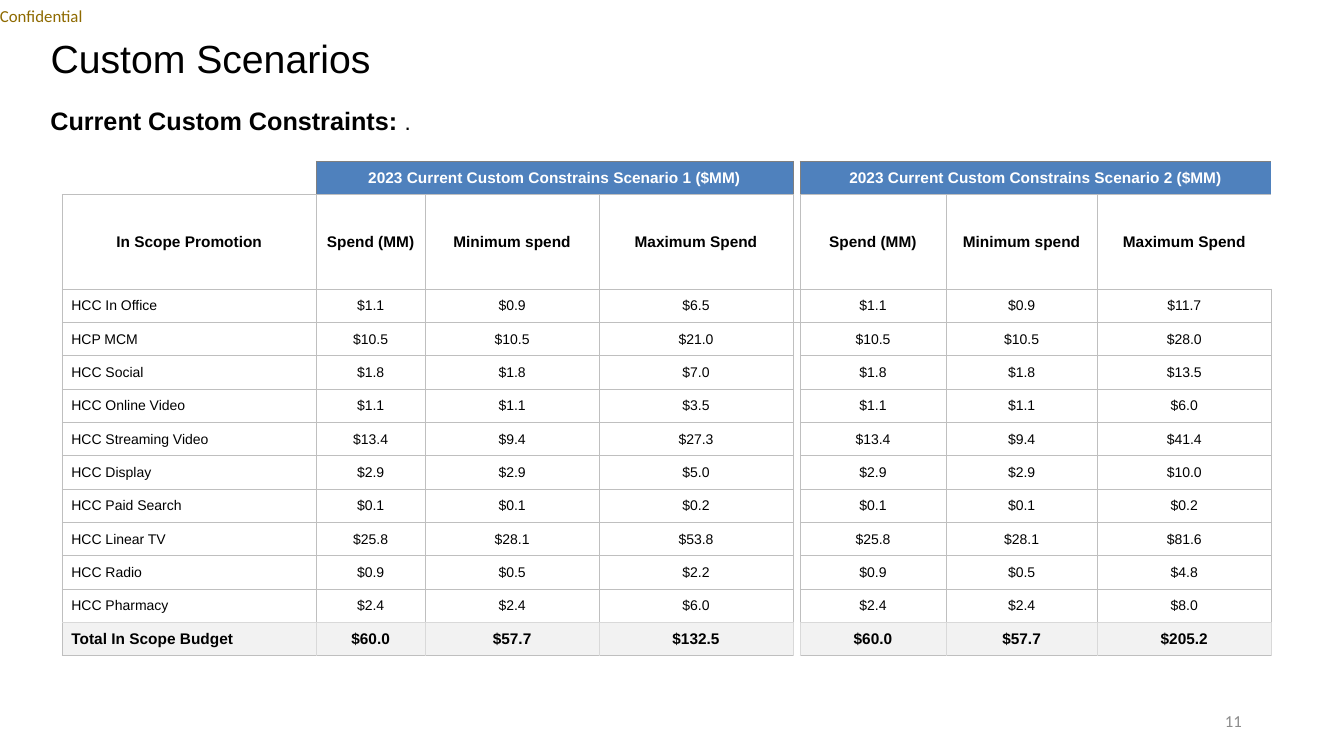
from lxml import etree
from pptx import Presentation
from pptx.dml.color import RGBColor
from pptx.enum.text import MSO_ANCHOR, MSO_AUTO_SIZE, PP_ALIGN
from pptx.oxml.ns import qn
from pptx.util import Cm, Pt

LEFT, CENTER, RIGHT = PP_ALIGN.LEFT, PP_ALIGN.CENTER, PP_ALIGN.RIGHT
TOP, MIDDLE = MSO_ANCHOR.TOP, MSO_ANCHOR.MIDDLE
FIT_SHAPE = MSO_AUTO_SIZE.SHAPE_TO_FIT_TEXT
NO_STYLE = "{2D5ABB26-0587-4C30-8999-92F81FD0307C}"
LINE, PALE_LINE, BANNER_LINE = "BFBFBF", "D9D9D9", "808080"
GAP = 4
BANNERS = (1, 5)

HEADINGS = ["Spend (MM)", "Minimum spend", "Maximum Spend"]
# channel, spend, minimum, maximum in scenario 1, maximum in scenario 2
BUDGETS = [
    ("HCC In Office", 1.1, 0.9, 6.5, 11.7),
    ("HCP MCM", 10.5, 10.5, 21.0, 28.0),
    ("HCC Social", 1.8, 1.8, 7.0, 13.5),
    ("HCC Online Video", 1.1, 1.1, 3.5, 6.0),
    ("HCC Streaming Video", 13.4, 9.4, 27.3, 41.4),
    ("HCC Display", 2.9, 2.9, 5.0, 10.0),
    ("HCC Paid Search", 0.1, 0.1, 0.2, 0.2),
    ("HCC Linear TV", 25.8, 28.1, 53.8, 81.6),
    ("HCC Radio", 0.9, 0.5, 2.2, 4.8),
    ("HCC Pharmacy", 2.4, 2.4, 6.0, 8.0),
    ("Total In Scope Budget", 60.0, 57.7, 132.5, 205.2),
]
COLUMN_WIDTHS = [6.4, 2.74, 4.39, 4.88, 0.18, 3.68, 3.81, 4.39]
ROW_HEIGHTS = [0.84, 2.38] + [0.84] * len(BUDGETS)
TOTAL = len(ROW_HEIGHTS) - 1


def style(font, size, color="000000", bold=False, name="Arial"):
    font.name, font.size, font.bold = name, Pt(size), bold
    font.color.rgb = RGBColor.from_string(color)


def cell_borders(row, column):
    """Return the colours of the drawn edges, keyed L, R, T, B."""
    if row == 0:
        if column in BANNERS:
            return {"L": BANNER_LINE, "T": BANNER_LINE, "B": LINE}
        if column == 0:
            return {"R": BANNER_LINE, "B": LINE}
        return {"R": BANNER_LINE} if column == GAP else {}
    if row == 1 and column in (3, GAP, 7):
        return {"R" if column == GAP else "L": LINE, "B": LINE}
    main = PALE_LINE if row == TOTAL else LINE
    if column == GAP:
        sides = {"L": main, "R": main}
        return {**sides, "T": LINE} if row == 2 else sides
    edges = dict.fromkeys("LRTB", main)
    if row == TOTAL:
        edges["B"] = LINE
        if column == 0:
            edges["L"] = LINE
    elif row == TOTAL - 1:
        edges["B"] = PALE_LINE
    return edges


deck = Presentation()
deck.slide_width, deck.slide_height = Cm(33.87), Cm(19.05)
slide = deck.slides.add_slide(deck.slide_layouts[5])

title = slide.shapes.title
title.left, title.top, title.width, title.height = Cm(1.02), Cm(1.02), Cm(30.48), Cm(1.02)
title.text_frame.text = "Custom Scenarios"
title.text_frame.vertical_anchor = MIDDLE
heading = title.text_frame.paragraphs[0]
heading.alignment, heading.line_spacing = LEFT, 0.9
style(heading.font, 28)

confidential = slide.shapes.add_textbox(0, 0, Cm(2.97), Cm(0.81)).text_frame
confidential.margin_left = confidential.margin_right = 0
confidential.margin_top = confidential.margin_bottom = 0
confidential.word_wrap = False
confidential.auto_size = FIT_SHAPE
confidential.vertical_anchor = MIDDLE
confidential.text = "Confidential"
style(confidential.paragraphs[0].font, 12, "8E6A00", name="Calibri")

page_number = slide.shapes.add_textbox(Cm(23.93), Cm(17.65), Cm(7.62), Cm(1.02)).text_frame
page_number.word_wrap = True
page_number.vertical_anchor = MIDDLE
page_number.text = "11"
page_number.paragraphs[0].alignment = RIGHT
style(page_number.paragraphs[0].font, 12, "8C8C8C", name="Calibri")

subtitle = slide.shapes.add_textbox(Cm(1.02), Cm(2.54), Cm(30.48), Cm(1.02)).text_frame
subtitle.word_wrap = True
subtitle.auto_size = FIT_SHAPE
subtitle.vertical_anchor = TOP
for words, size, bold in (("Current Custom Constraints: ", 18, True), (".", 16, False)):
    run = subtitle.paragraphs[0].add_run()
    run.text = words
    style(run.font, size, bold=bold)

banner_row = [""] * len(COLUMN_WIDTHS)
for scenario, column in enumerate(BANNERS, 1):
    banner_row[column] = f"2023 Current Custom Constrains Scenario {scenario} ($MM)"
rows = [banner_row, ["In Scope Promotion", *HEADINGS, "", *HEADINGS]]
for channel, *amounts in BUDGETS:
    spend, minimum, maximum_1, maximum_2 = [f"${amount:.1f}" for amount in amounts]
    rows.append([channel, spend, minimum, maximum_1, "", spend, minimum, maximum_2])

constraints = slide.shapes.add_table(
    len(rows), len(COLUMN_WIDTHS), Cm(1.57), Cm(4.06),
    Cm(sum(COLUMN_WIDTHS)), Cm(sum(ROW_HEIGHTS))).table
constraints.first_row = constraints.horz_banding = False
constraints._tbl.tblPr.find(qn("a:tableStyleId")).text = NO_STYLE
for column, width in zip(constraints.columns, COLUMN_WIDTHS):
    column.width = Cm(width)
for row, height in zip(constraints.rows, ROW_HEIGHTS):
    row.height = Cm(height)

for r, row in enumerate(rows):
    for c, words in enumerate(row):
        cell = constraints.cell(r, c)
        is_channel = c == 0 and r > 1
        cell.margin_left = Cm(0.23 if is_channel else 0.03)
        cell.margin_right = cell.margin_top = Cm(0.03)
        cell.margin_bottom = 0
        cell.vertical_anchor = MIDDLE
        cell.text = words
        paragraph = cell.text_frame.paragraphs[0]
        paragraph.alignment = LEFT if is_channel else CENTER
        strong = r < 2 or r == TOTAL
        style(paragraph.font, 11 if strong else 10, "FFFFFF" if r == 0 else "000000", strong)

        edges = cell_borders(r, c)
        properties = cell._tc.get_or_add_tcPr()
        for side in "LRTB":
            if side in edges:
                line = etree.SubElement(properties, qn(f"a:ln{side}"), w=str(Pt(0.5)))
                paint = etree.SubElement(line, qn("a:solidFill"))
                etree.SubElement(paint, qn("a:srgbClr"), val=edges[side])
        if r == 0 and c in BANNERS:
            cell.fill.solid()
            cell.fill.fore_color.rgb = RGBColor.from_string("4F81BD")
        elif r == TOTAL and c != GAP:
            cell.fill.solid()
            cell.fill.fore_color.rgb = RGBColor.from_string("F2F2F2")
        else:
            cell.fill.background()

for column in BANNERS:
    constraints.cell(0, column).merge(constraints.cell(0, column + 2))

deck.save("out.pptx")
